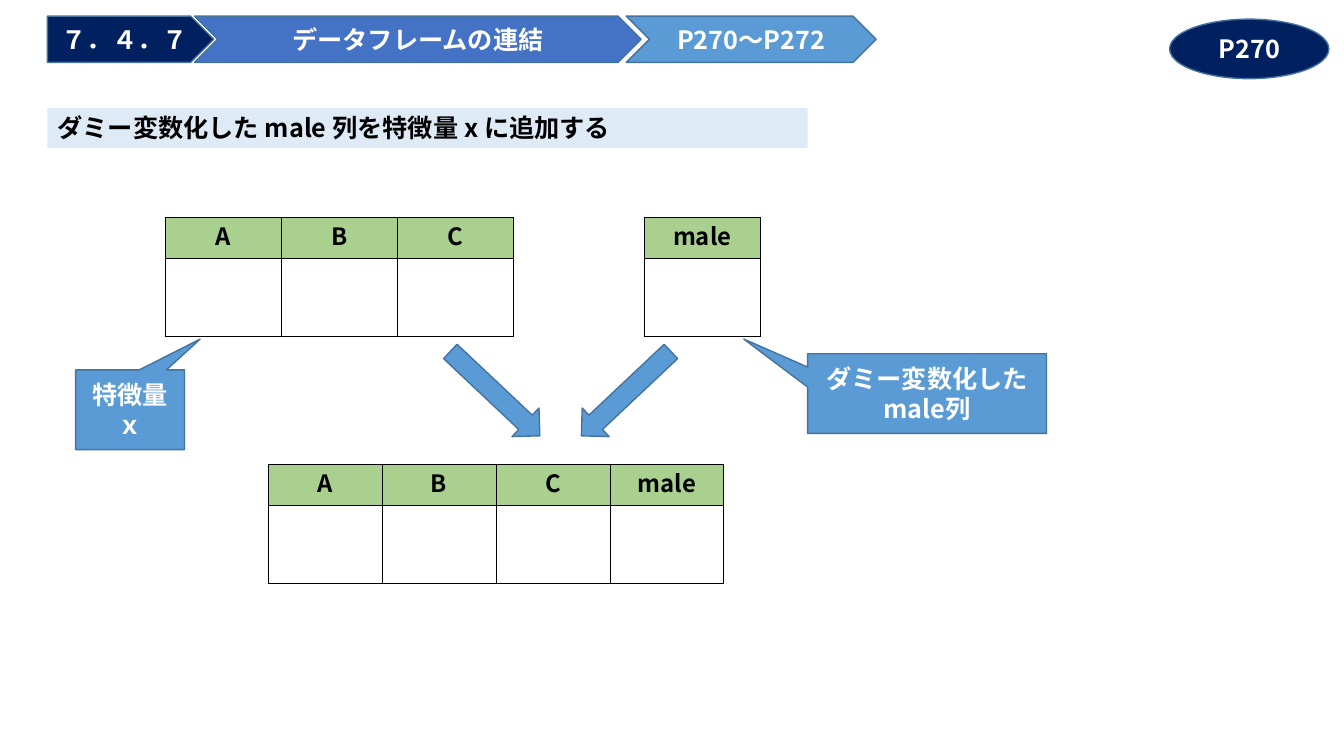
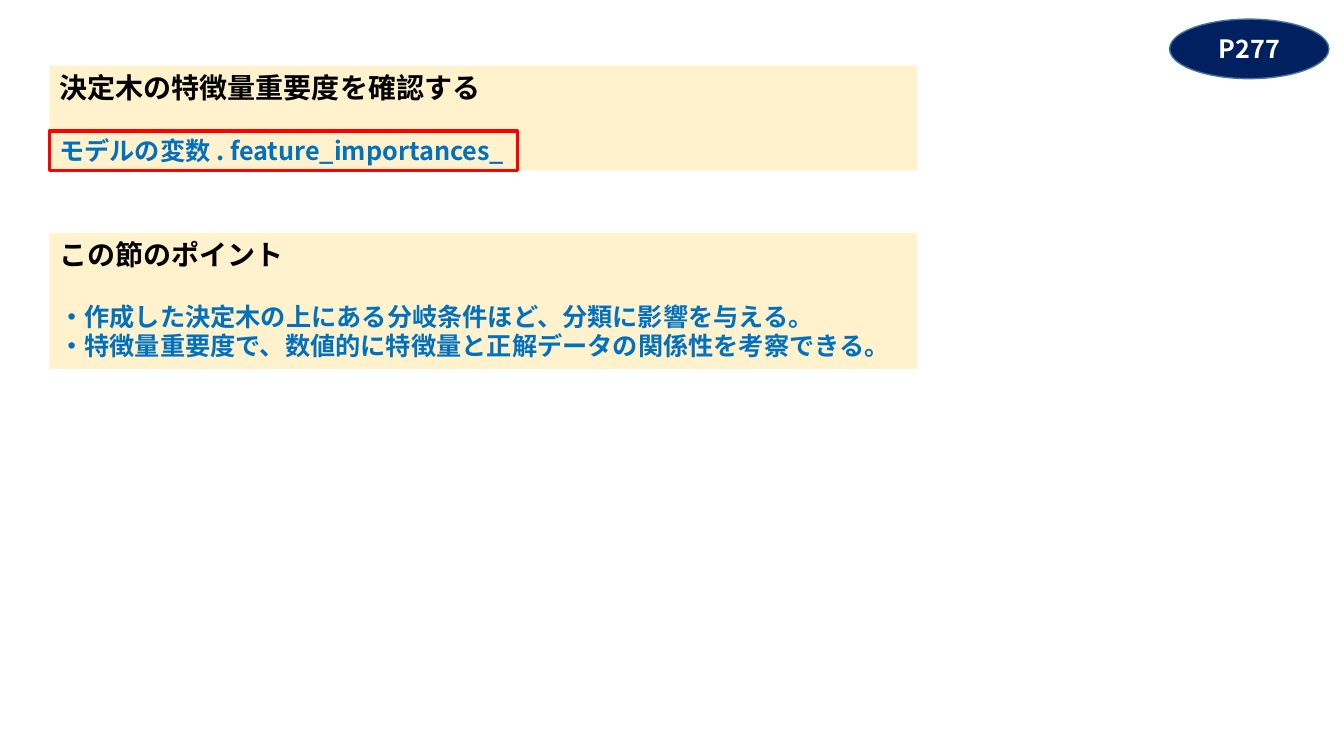
from dataclasses import dataclass

from lxml import etree
from pptx import Presentation
from pptx.dml.color import RGBColor
from pptx.enum.shapes import MSO_SHAPE
from pptx.enum.text import MSO_ANCHOR, MSO_AUTO_SIZE, PP_ALIGN
from pptx.oxml.ns import qn
from pptx.util import Inches, Pt

RECT, ELLIPSE = MSO_SHAPE.RECTANGLE, MSO_SHAPE.OVAL
PLATE, CHEVRON = MSO_SHAPE.PENTAGON, MSO_SHAPE.CHEVRON
ARROW, CALLOUT = MSO_SHAPE.RIGHT_ARROW, MSO_SHAPE.RECTANGULAR_CALLOUT
TOP, MIDDLE = MSO_ANCHOR.TOP, MSO_ANCHOR.MIDDLE
LEFT, CENTER = PP_ALIGN.LEFT, PP_ALIGN.CENTER


@dataclass(frozen=True)
class Theme:
    font: str = "Noto Sans CJK JP"
    heading: int = 20
    body: int = 18
    cell: int = 17
    leading: float = 1.19
    ink: str = "000000"
    white: str = "FFFFFF"
    navy: str = "002060"
    blue: str = "4472C4"
    sky: str = "5B9BD5"
    edge: str = "43739E"
    pale: str = "DEEBF7"
    cream: str = "FFF2CC"
    green: str = "A9D08E"
    accent: str = "0070C0"
    red: str = "FF0000"


T = Theme()
BADGE = (11.6, 0.19, 1.58, 0.59)
BAND = (0.47, 1.07, 7.54, 0.4)
STEP_TOP, STEP_HEIGHT = 0.16, 0.46
PANEL_LEFT, PANEL_WIDTH = 0.49, 8.61

CONCAT = {
    "title": "ダミー変数化した male 列を特徴量 x に追加する",
    "page": "P270",
    "steps": [
        (PLATE, "７．４．７", 0.47, 1.65, T.navy),
        (CHEVRON, "データフレームの連結", 1.93, 4.43, T.blue),
        (CHEVRON, "P270～P272", 6.21, 2.48, T.sky),
    ],
    "frames": [
        (["A", "B", "C"], 1.64, 2.16, 1.15),
        (["male"], 6.39, 2.16, 1.15),
        (["A", "B", "C", "male"], 2.66, 4.61, 1.13),
    ],
    "arrows": [(4.3, 43.3), (5.6, 136.7)],
    "callouts": [
        (["特徴量", "ｘ"], (0.75, 3.67, 1.08, 0.79), (0.644, -0.887)),
        (["ダミー変数化したmale列"], (8.01, 3.51, 2.37, 0.79), (-0.767, -0.685)),
    ],
}
IMPORTANCE = {
    "title": "決定木の特徴量重要度を確認する",
    "page": "P277",
    "code": "モデルの変数 . feature_importances_",
    "summary": "この節のポイント",
    "points": [
        "・作成した決定木の上にある分岐条件ほど、分類に影響を与える。",
        "・特徴量重要度で、数値的に特徴量と正解データの関係性を考察できる。",
    ],
}


def color(value):
    return RGBColor.from_string(value)


def style(p, size, ink, align):
    p.alignment = align
    p.line_spacing = Pt(round(size * T.leading, 1))
    for r in p.runs:
        r.font.name, r.font.size, r.font.bold = T.font, Pt(size), True
        r.font.color.rgb = color(ink)
        ea = etree.SubElement(r.font._element, qn("a:ea"))
        ea.set("typeface", T.font)


def write(tf, lines, size=T.body, ink=T.white, align=CENTER, anchor=MIDDLE):
    tf.text = "\n".join(lines)
    tf.word_wrap = True
    tf.vertical_anchor = anchor
    for p in tf.paragraphs:
        style(p, size, ink, align)


def place(s, box):
    s.left, s.top, s.width, s.height = (Inches(v) for v in box)


def paint(s, fill=None, line=None, width=1):
    if fill:
        s.fill.solid()
        s.fill.fore_color.rgb = color(fill)
    else:
        s.fill.background()
    if line:
        s.line.color.rgb = color(line)
        s.line.width = Pt(width)
    else:
        s.line.fill.background()


def add_shape(slide, kind, box, fill=None, line=T.edge, width=1):
    s = slide.shapes.add_shape(kind, *(Inches(v) for v in box))
    s.shadow.inherit = False
    paint(s, fill, line, width)
    return s


def add_slide(prs, content, box, fill, size):
    slide = prs.slides.add_slide(prs.slide_layouts[5])
    title = slide.shapes.title
    place(title, box)
    paint(title, fill)
    write(title.text_frame, [content["title"]], size, T.ink, LEFT, TOP)
    title.text_frame.auto_size = MSO_AUTO_SIZE.NONE
    badge = add_shape(slide, ELLIPSE, BADGE, T.navy)
    write(badge.text_frame, [content["page"]])
    return slide


def set_borders(cell, outer_sides):
    tc_pr = cell._tc.get_or_add_tcPr()
    for i, side in enumerate("LRTB"):
        ln = etree.Element(qn("a:ln" + side))
        ln.set("w", str(Pt(1 if side in outer_sides else 0.5)))
        fill = etree.SubElement(ln, qn("a:solidFill"))
        etree.SubElement(fill, qn("a:srgbClr")).set("val", T.ink)
        tc_pr.insert(i, ln)


def add_frame(slide, names, left, top, col_width):
    heights = (0.4, 0.78)
    box = (left, top, col_width * len(names), sum(heights))
    table = slide.shapes.add_table(2, len(names), *(Inches(v) for v in box)).table
    table.first_row = table.horz_banding = False
    for row, height in zip(table.rows, heights):
        row.height = Inches(height)
    for c, name in enumerate(names):
        table.columns[c].width = Inches(col_width)
        head, body = table.cell(0, c), table.cell(1, c)
        head.margin_left = head.margin_right = head.margin_top = Inches(0.01)
        head.margin_bottom = 0
        head.text = name
        head.vertical_anchor = MIDDLE
        style(head.text_frame.paragraphs[0], T.cell, T.ink, CENTER)
        head.fill.solid()
        head.fill.fore_color.rgb = color(T.green)
        body.fill.background()
        sides = ("L" if c == 0 else "") + ("R" if c == len(names) - 1 else "")
        set_borders(head, sides + "T")
        set_borders(body, sides + "B")


def build_concat(prs):
    slide = add_slide(prs, CONCAT, BAND, T.pale, T.body)
    for kind, text, left, width, fill in CONCAT["steps"]:
        s = add_shape(slide, kind, (left, STEP_TOP, width, STEP_HEIGHT), fill)
        write(s.text_frame, [text])
    for frame in CONCAT["frames"]:
        add_frame(slide, *frame)
    for left, angle in CONCAT["arrows"]:
        add_shape(slide, ARROW, (left, 3.71, 1.22, 0.39), T.sky).rotation = angle
    for lines, box, tip in CONCAT["callouts"]:
        s = add_shape(slide, CALLOUT, box, T.sky)
        s.adjustments[0], s.adjustments[1] = tip
        write(s.text_frame, lines)


def build_importance(prs):
    slide = add_slide(prs, IMPORTANCE, (PANEL_LEFT, 0.65, PANEL_WIDTH, 1.04),
                      T.cream, T.heading)
    code = add_shape(slide, RECT, (PANEL_LEFT, 1.3, 4.64, 0.39), None, T.red, 2.25)
    write(code.text_frame, [IMPORTANCE["code"]], T.body, T.accent, LEFT)
    code.text_frame.margin_right = 0
    panel = add_shape(slide, RECT, (PANEL_LEFT, 2.31, PANEL_WIDTH, 1.35), T.cream, None)
    write(panel.text_frame, [IMPORTANCE["summary"]] + IMPORTANCE["points"],
          T.body, T.accent, LEFT, TOP)
    heading, first = panel.text_frame.paragraphs[:2]
    heading.line_spacing = Pt(round(T.heading * T.leading, 1))
    heading.runs[0].font.size = Pt(T.heading)
    heading.runs[0].font.color.rgb = color(T.ink)
    first.space_before = Pt(round(T.body * T.leading, 1))


def main():
    prs = Presentation()
    prs.slide_width, prs.slide_height = Inches(13.33), Inches(7.5)
    build_concat(prs)
    build_importance(prs)
    prs.save("out.pptx")


if __name__ == "__main__":
    main()
